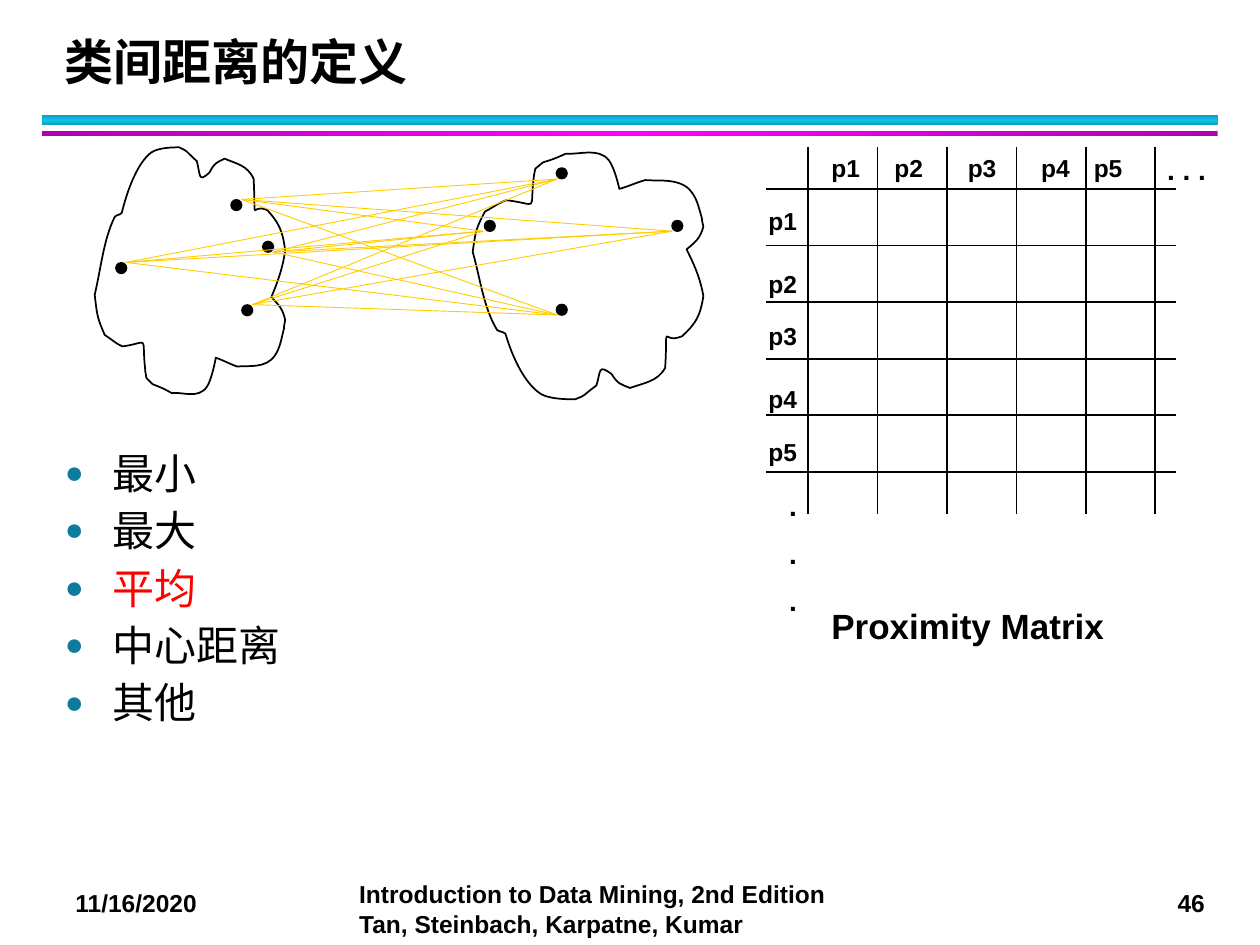
from copy import deepcopy
from itertools import product

from lxml.etree import SubElement
from pptx import Presentation
from pptx.dml.color import RGBColor
from pptx.enum.shapes import MSO_CONNECTOR, MSO_SHAPE
from pptx.enum.text import MSO_ANCHOR
from pptx.oxml.ns import qn
from pptx.util import Cm, Pt

BLACK = RGBColor(0x00, 0x00, 0x00)
RED = RGBColor(0xFF, 0x00, 0x00)
GOLD = RGBColor(0xFF, 0xCC, 0x00)
TEAL = RGBColor(0x0E, 0x9B, 0xBA)
CYAN = RGBColor(0x12, 0xC2, 0xE9)
PLUM = RGBColor(0xB2, 0x00, 0xB2)
PINK = RGBColor(0xFF, 0x00, 0xFF)

LABEL = {"name": "Arial", "size": Pt(14), "bold": True}
DOTTED = {**LABEL, "size": Pt(16)}
CAPTION = {**LABEL, "size": Pt(20)}
TITLE = {"name": "Karla", "size": Pt(28), "bold": True}
BODY = {"name": "Arial", "size": Pt(24), "bold": False}

CLOUD_W, CLOUD_H = 151, 200
START = (16, 55)
CURVES = [
    (7, 73, 5, 96, 0, 117), (2, 134, 2, 135, 8, 149),
    (13, 152, 17, 156, 22, 158), (44, 155, 37, 148, 40, 176),
    (40, 179, 41, 181, 41, 183), (48, 190, 44, 187, 51, 190),
    (54, 191, 61, 195, 61, 195), (70, 194, 82, 200, 89, 190),
    (93, 184, 96, 167, 96, 167), (102, 169, 107, 172, 113, 174),
    (121, 173, 136, 176, 143, 165), (147, 159, 148, 152, 150, 144),
    (150, 142, 151, 137, 151, 137), (149, 128, 146, 125, 140, 119),
    (145, 107, 149, 96, 151, 82), (149, 66, 146, 60, 137, 50),
    (123, 43, 128, 65, 126, 25), (121, 14, 112, 13, 103, 9),
    (97, 12, 95, 12, 91, 20), (82, 28, 84, 23, 81, 11),
    (70, 1, 75, 4, 67, 0), (63, 0, 51, 0, 45, 4),
    (34, 12, 26, 34, 22, 50), (22, 54, 18, 53, 16, 55),
]


def style(run, form, color=BLACK):
    """Apply a dict of font values and a colour to a run."""
    for key, value in form.items():
        setattr(run.font, key, value)
    run.font.color.rgb = color
    SubElement(run._r.get_or_add_rPr(), qn("a:ea"), typeface=form["name"])


def write(slide, box, lines, form, gap=0):
    """Add a text box with one paragraph per line."""
    frame = slide.shapes.add_textbox(*map(Cm, box)).text_frame
    frame.word_wrap = True
    for i, line in enumerate(lines):
        para = frame.paragraphs[0] if i == 0 else frame.add_paragraph()
        para.text = line
        if i and gap:
            para.space_before = Pt(gap)
        for run in para.runs:
            style(run, form)
    return frame


def rule(slide, start, end, color=BLACK, width=1):
    """Draw a straight line between two points."""
    line = slide.shapes.add_connector(
        MSO_CONNECTOR.STRAIGHT, *map(Cm, (*start, *end)))
    line.line.color.rgb = color
    line.line.width = Pt(width)
    SubElement(line._element.spPr, qn("a:effectLst"))


def band(slide, box, edge, core, angle):
    """Draw a bar shaded from edge to core and back."""
    bar = slide.shapes.add_shape(MSO_SHAPE.RECTANGLE, *map(Cm, box))
    bar.shadow.inherit = False
    bar.line.fill.background()
    bar.fill.gradient()
    bar.fill.gradient_angle = angle
    stops = bar._element.spPr.find(".//" + qn("a:gsLst"))
    stops.insert(1, deepcopy(stops[0]))
    shades = ((0, edge), (0.5, core), (1, edge))
    for stop, (spot, color) in zip(bar.fill.gradient_stops, shades):
        stop.position = spot
        stop.color.rgb = color


def header(slide, box):
    """Place the title and the two bars below it."""
    x, y, w, h = box
    frame = write(slide, (x + 0.21, y, 23.01, 1.52), ["类间距离的定义"], TITLE)
    frame.vertical_anchor = MSO_ANCHOR.BOTTOM
    frame.paragraphs[0].line_spacing = Pt(36)
    band(slide, (x, y + 1.89, w, 0.21), TEAL, CYAN, 90)
    band(slide, (x, y + h - 0.1, w, 0.1), PLUM, PINK, 0)


def footer(slide, box):
    """Place the date, the book and the page number."""
    x, y, w, h = box
    write(slide, (x, y + 0.18, 3.38, 0.86), ["11/16/2020"], LABEL)
    book = "Introduction to Data Mining, 2nd Edition Tan, Steinbach, Karpatne, Kumar"
    write(slide, (x + 5.72, y, 10.36, h), [book], LABEL)
    write(slide, (x + w - 1.12, y + 0.18, 1.12, 0.86), ["46"], LABEL)


def matrix(slide, box):
    """Draw the proximity matrix with its labels and caption."""
    x, y, w, h = box
    for i in range(6):
        across, down = x + 1.05 + 1.4 * i, y + 0.85 + 1.14 * i
        rule(slide, (across, y), (across, y + 7.4))
        rule(slide, (x + 0.21, down), (x + 8.46, down))
    rows = (1.06, 2.33, 3.39, 4.66, 5.72)
    cols = (1.27, 2.54, 4.02, 5.5, 6.56)
    for i, (row, col) in enumerate(zip(rows, cols), 1):
        for left, top in ((0, row), (col, 0)):
            write(slide, (x + left, y + top, 1.47, 0.85), [f"p{i}"], LABEL)
    write(slide, (x + 8.04, y, 1.47, 0.93), [". . ."], DOTTED)
    write(slide, (x + 0.42, y + 6.77, 1.47, 2.96), ["."] * 3, DOTTED, 8)
    write(slide, (x + 1.27, y + h - 1.1, 6.99, 1.1), ["Proximity Matrix"], CAPTION)


def outline(slide, box, flip):
    """Draw the curved edge of a cluster."""
    x, y, w, h = box

    def place(u, v):
        v = CLOUD_H - v if flip else v
        return Cm(x + u * w / CLOUD_W), Cm(y + v * h / CLOUD_H)

    path = slide.shapes.build_freeform(*place(*START), scale=1.0)
    path.add_line_segments([place(*curve[4:]) for curve in CURVES], close=True)
    edge = path.convert_to_shape()
    left, top = edge.left, edge.top
    steps = list(edge._element.iter(qn("a:lnTo")))
    for step, curve in zip(steps, CURVES):
        step.tag = qn("a:cubicBezTo")
        step.remove(step[0])
        for u, v in zip(curve[::2], curve[1::2]):
            a, b = place(u, v)
            SubElement(step, qn("a:pt"), x=str(a - left), y=str(b - top))
    edge.fill.background()
    return edge


def cloud(slide, box, dots, flip=False):
    """Draw a cluster outline and its points."""
    x, y, w, h = box
    edge = outline(slide, box, flip)
    marks = [slide.shapes.add_shape(
        MSO_SHAPE.OVAL, Cm(x + left), Cm(y + top), Cm(0.21), Cm(0.21))
        for left, top in dots]
    for mark in marks:
        mark.fill.solid()
        mark.fill.fore_color.rgb = BLACK
    for part in (edge, *marks):
        part.shadow.inherit = False
        part.line.color.rgb = BLACK
        part.line.width = Pt(1)


def groups(slide, box):
    """Draw two clusters and link every pair of points."""
    x, y, w, h = box
    cloud(slide, (x, y, 3.84, h),
          ((2.97, 3.18), (2.75, 1.06), (0.43, 2.33), (3.39, 1.9)))
    cloud(slide, (x + w - 4.65, y, 4.65, h),
          ((4.02, 1.48), (0.24, 1.48), (1.69, 3.17), (1.69, 0.42)), True)
    left = ((3.18, 3.17), (3.6, 2.11), (0.63, 2.32), (2.96, 1.05))
    right = ((9.32, 3.38), (7.83, 1.69), (9.32, 0.64), (11.64, 1.69))
    for (a, b), (c, d) in product(left, right):
        rule(slide, (x + a, y + b), (x + c, y + d), GOLD, 0.5)


def choices(slide, box):
    """Place the bulleted list of distance types."""
    items = ["最小", "最大", "平均", "中心距离", "其他"]
    frame = write(slide, box, items, BODY, 2)
    for para in frame.paragraphs:
        para.space_after = Pt(2)
        props = para._p.get_or_add_pPr()
        props.set("marL", str(Cm(0.95)))
        props.set("indent", str(-Cm(0.95)))
        tint = SubElement(props, qn("a:buClr"))
        SubElement(tint, qn("a:srgbClr"), val="0C7B9C")
        SubElement(props, qn("a:buSzPct"), val="75000")
        SubElement(props, qn("a:buFont"), typeface="Arial")
        SubElement(props, qn("a:buChar"), char="●")
    frame.paragraphs[2].runs[0].font.color.rgb = RED


def main():
    """Build the slide and save it."""
    deck = Presentation()
    deck.slide_width, deck.slide_height = Cm(25.4), Cm(19.05)
    slide = deck.slides.add_slide(deck.slide_layouts[6])
    header(slide, (0.84, 0.43, 23.71, 2.31))
    footer(slide, (1.27, 17.6, 23.34, 1.45))
    matrix(slide, (15.24, 2.96, 9.51, 10.2))
    groups(slide, (1.91, 2.97, 12.27, 5.08))
    choices(slide, (1.06, 8.89, 16.09, 8.68))
    deck.save("out.pptx")


if __name__ == "__main__":
    main()
